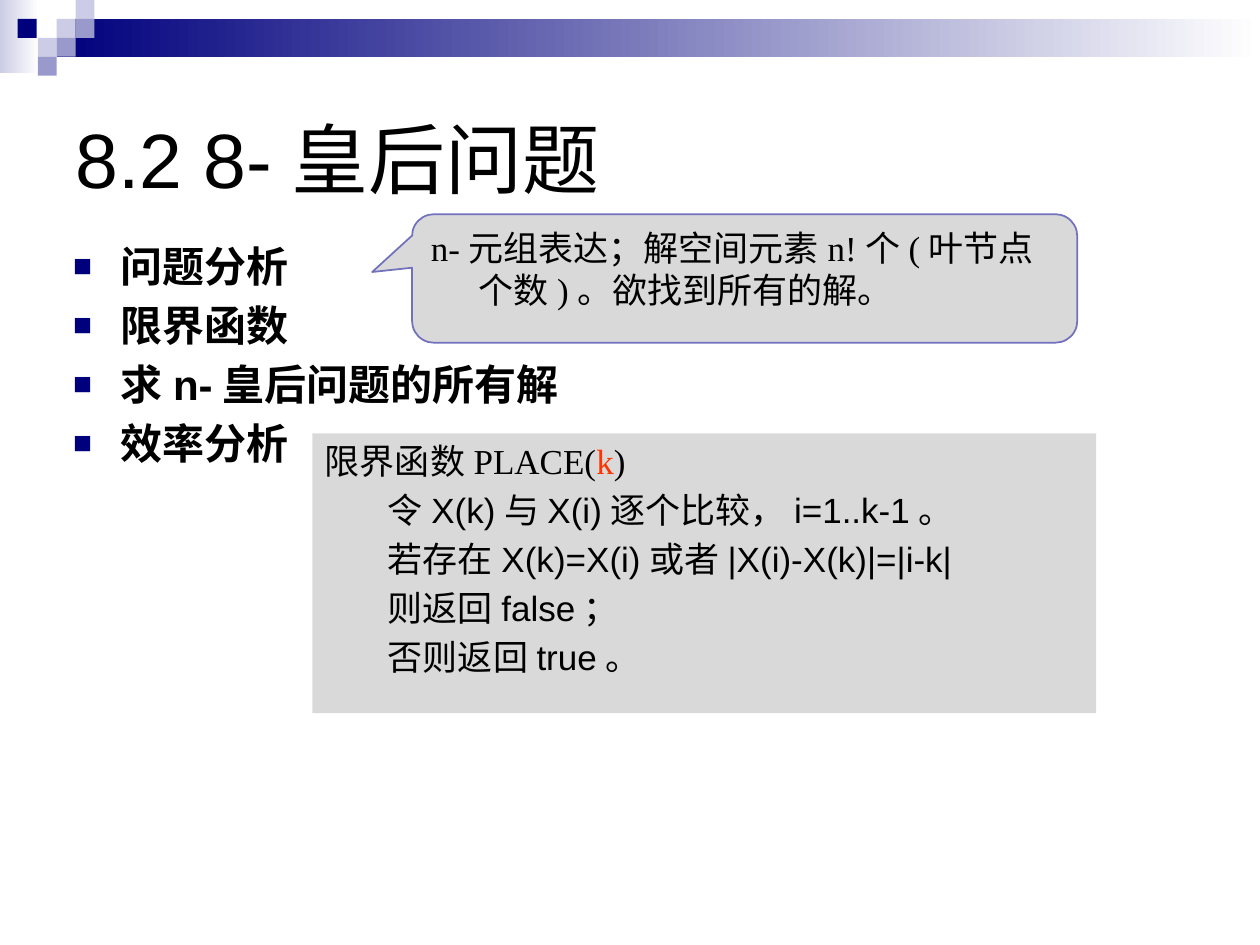
from lxml.etree import SubElement
from pptx import Presentation
from pptx.dml.color import RGBColor
from pptx.enum.shapes import MSO_SHAPE as SHAPE
from pptx.enum.text import MSO_ANCHOR as ANCHOR, MSO_AUTO_SIZE as AUTO, PP_ALIGN as ALIGN
from pptx.oxml.ns import qn
from pptx.util import Inches, Pt


def rgb(value):
    return RGBColor.from_string(value)


def add_text(tf, runs, size=20, font="Arial", bold=False, left=0, hang=0,
             before=0, level=0, bullet=None):
    p = tf.paragraphs[0] if not tf.text else tf.add_paragraph()
    p.alignment = ALIGN.LEFT
    p.level = level
    pPr = p._p.get_or_add_pPr()
    pPr.set("marL", str(Inches(left)))
    pPr.set("indent", str(-Inches(hang)))
    spacing = SubElement(pPr, qn("a:spcBef"))
    SubElement(spacing, qn("a:spcPct")).set("val", str(before * 1000))
    if bullet:
        color = SubElement(pPr, qn("a:buClr"))
        SubElement(color, qn("a:srgbClr")).set("val", bullet)
        SubElement(pPr, qn("a:buSzPct")).set("val", "75000")
        SubElement(pPr, qn("a:buFont")).set("typeface", "Arial")
        SubElement(pPr, qn("a:buChar")).set("char", "■")
    else:
        SubElement(pPr, qn("a:buNone"))
    for text, color in runs:
        r = p.add_run()
        r.text = text
        r.font.size = Pt(size)
        r.font.name = font
        r.font.bold = bold
        r.font.color.rgb = rgb(color)


NAVY, BLUE, PALE = "00007D", "9999CC", "CCCCE6"
WHITE, GREY, BLACK, RED = "FFFFFF", "D9D9D9", "000000", "FF3300"

prs = Presentation()
prs.slide_width, prs.slide_height = Inches(10), Inches(7.5)
s = prs.slides.add_slide(prs.slide_layouts[1])

bands = [(0, 0, 0.31, 0.58, PALE), (0.45, 0.15, 9.55, 0.3, NAVY)]
squares = [(0.45, 0.15, PALE), (0.6, 0, PALE), (0.6, 0.15, BLUE), (0.3, 0.3, PALE),
           (0.14, 0.15, NAVY), (0.45, 0.3, BLUE), (0.3, 0.45, BLUE)]

for x, y, w, h, color in bands:
    sp = s.shapes.add_shape(SHAPE.RECTANGLE, Inches(x), Inches(y), Inches(w), Inches(h))
    sp.shadow.inherit = False
    sp.line.fill.background()
    sp.fill.gradient()
    sp.fill.gradient_angle = 0
    for stop, value, position in zip(sp.fill.gradient_stops, (color, WHITE), (0, 1)):
        stop.color.rgb = rgb(value)
        stop.position = position

for x, y, color in squares:
    sp = s.shapes.add_shape(SHAPE.RECTANGLE, Inches(x), Inches(y), Inches(0.15), Inches(0.15))
    sp.shadow.inherit = False
    sp.line.fill.background()
    sp.fill.solid()
    sp.fill.fore_color.rgb = rgb(color)

title, body = s.shapes.title, s.placeholders[1]
frames = [(title, 0.5, 0.5, 9, 1.5, ANCHOR.MIDDLE), (body, 0.48, 1.86, 4.5, 4.25, ANCHOR.TOP)]
for sp, x, y, w, h, anchor in frames:
    sp.left, sp.top, sp.width, sp.height = Inches(x), Inches(y), Inches(w), Inches(h)
    sp.text_frame.word_wrap = True
    sp.text_frame.auto_size = AUTO.NONE
    sp.text_frame.vertical_anchor = anchor

add_text(title.text_frame, [("8.2 8-皇后问题", BLACK)], size=44)
for item in ["问题分析", "限界函数", "求n-皇后问题的所有解", "效率分析"]:
    add_text(body.text_frame, [(item, BLACK)], size=24, bold=True,
             left=0.38, hang=0.38, before=20, bullet=NAVY)

panel = s.shapes.add_shape(SHAPE.RECTANGLE, Inches(2.48), Inches(3.44), Inches(6.22), Inches(2.22))
callout = s.shapes.add_shape(SHAPE.ROUNDED_RECTANGULAR_CALLOUT,
                             Inches(3.27), Inches(1.7), Inches(5.28), Inches(1.02))
for sp in (panel, callout):
    sp.shadow.inherit = False
    sp.fill.solid()
    sp.fill.fore_color.rgb = rgb(GREY)
    sp.text_frame.word_wrap = True
    sp.text_frame.vertical_anchor = ANCHOR.TOP
panel.line.fill.background()
callout.line.color.rgb = rgb("7171BD")
callout.line.width = Pt(1)
for i, value in enumerate((-0.56, -0.05, 0.17)):
    callout.adjustments[i] = value

add_text(panel.text_frame, [("限界函数PLACE(", BLACK), ("k", RED), (")", BLACK)],
         font="Times New Roman", left=0.38, hang=0.38, before=20)
for step in ["令X(k)与X(i)逐个比较，i=1..k-1。", "若存在X(k)=X(i)或者|X(i)-X(k)|=|i-k|",
             "则返回false；", "否则返回true。"]:
    add_text(panel.text_frame, [(step, BLACK)], left=0.81, hang=0.31, before=20, level=1)

add_text(callout.text_frame, [("n-元组表达；解空间元素n!个(叶节点个数)。欲找到所有的解。", BLACK)],
         font="Times New Roman", left=0.38, hang=0.38, before=20)

prs.save("out.pptx")
